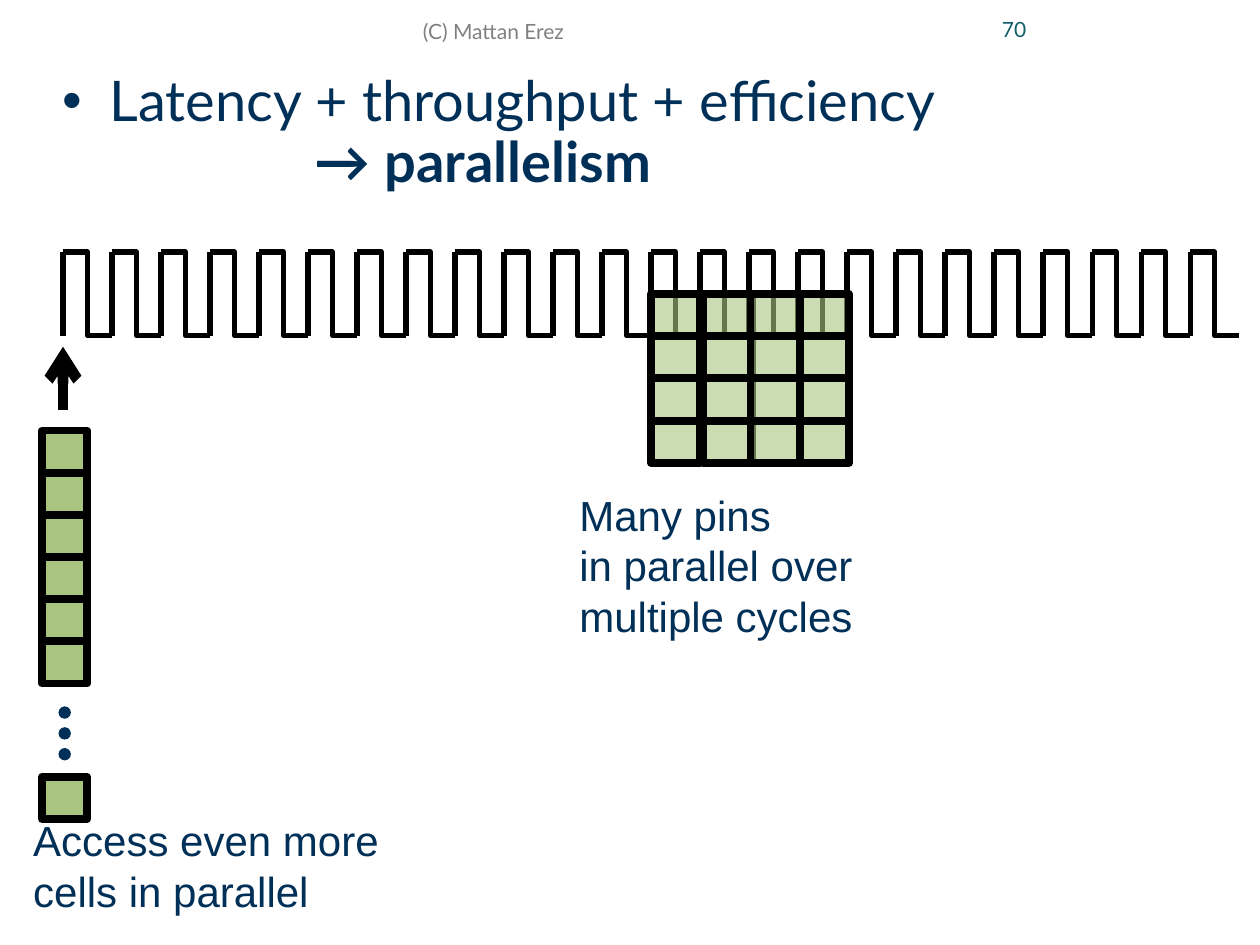
import pptx
import pptx.dml.color
import pptx.enum.shapes
import pptx.enum.text
import pptx.oxml
import pptx.oxml.ns
import pptx.util
from pptx.util import Cm

COLORS = {"navy": "003057", "green": "A9C47F", "black": "000000",
          "gray": "808080", "teal": "115E67"}
SHAPE = pptx.enum.shapes.MSO_SHAPE
CONNECTOR = pptx.enum.shapes.MSO_CONNECTOR
ALIGN = pptx.enum.text.PP_ALIGN
ANCHOR = pptx.enum.text.MSO_ANCHOR
AUTO_SIZE = pptx.enum.text.MSO_AUTO_SIZE

BODY = {"name": "Arial", "size": pptx.util.Pt(24)}
SMALL = {"name": "Lato", "size": pptx.util.Pt(12)}
HEADING = {"name": "Lato", "size": pptx.util.Pt(32)}

WAVE_LEFT, WAVE_TOP, WAVE_HEIGHT = 1.27, 5.08, 1.69
PULSE_GROUPS, PULSES_PER_GROUP = 4, 6
PULSE_WIDTH = 23.71 / (PULSE_GROUPS * PULSES_PER_GROUP)
CELL_HEIGHT = 0.85
STACK_LEFT, STACK_TOP, STACK_CELLS, STACK_WIDTH = 0.85, 8.68, 6, 0.91
LAST_CELL_TOP = 15.66
GRID_LEFTS, GRID_TOP, GRID_ROWS, GRID_WIDTH = (13.12, 14.18, 15.13, 16.13), 5.93, 4, 0.99


def rgb(name):
    return pptx.dml.color.RGBColor.from_string(COLORS[name])


def add_xml(parent, tag, **attributes):
    """Append a DrawingML element to parent."""
    element = pptx.oxml.parse_xml(f"<a:{tag} {pptx.oxml.ns.nsdecls('a')}/>")
    for key, value in attributes.items():
        element.set(key, value)
    parent.append(element)
    return element


def apply_format(target, values):
    for key, value in values.items():
        setattr(target, key, value)


def add_line(shapes, kind, start, end, width, arrow=False):
    line = shapes.add_connector(kind, *map(Cm, start + end))
    line.line.color.rgb = rgb("black")
    line.line.width = pptx.util.Pt(width)
    if arrow:
        add_xml(line.line._get_or_add_ln(), "tailEnd", type="arrow")
    add_xml(line._element.spPr, "effectLst")


def add_wave(page):
    bottom = WAVE_TOP + WAVE_HEIGHT
    for group_index in range(PULSE_GROUPS):
        group = page.shapes.add_group_shape()
        for pulse in range(PULSES_PER_GROUP):
            left = WAVE_LEFT + (group_index * PULSES_PER_GROUP + pulse) * PULSE_WIDTH
            top_left = (left, WAVE_TOP)
            add_line(group.shapes, CONNECTOR.ELBOW, top_left,
                     (left + PULSE_WIDTH, bottom), 3)
            add_line(group.shapes, CONNECTOR.STRAIGHT, top_left, (left, bottom), 3)


def add_solid(shapes, kind, place, color):
    shape = shapes.add_shape(kind, *map(Cm, place))
    shape.shadow.inherit = False
    shape.fill.solid()
    shape.fill.fore_color.rgb = rgb(color)
    shape.line.fill.background()
    return shape


def add_cell(page, left, top, width, alpha=None):
    """Add one memory cell; alpha is its opacity in percent."""
    cell = add_solid(page.shapes, SHAPE.RECTANGLE, (left, top, width, CELL_HEIGHT), "green")
    cell.line.color.rgb = rgb("black")
    cell.line.width = pptx.util.Pt(4.5)
    if alpha:
        color = cell._element.spPr.find(".//" + pptx.oxml.ns.qn("a:srgbClr"))
        add_xml(color, "alpha", val=str(alpha * 1000))


def add_stack(page):
    tops = [STACK_TOP + row * CELL_HEIGHT for row in range(STACK_CELLS)]
    for top in tops + [LAST_CELL_TOP]:
        add_cell(page, STACK_LEFT, top, STACK_WIDTH)
    dots = page.shapes.add_group_shape()
    for row in range(3):
        add_solid(dots.shapes, SHAPE.OVAL, (1.18, 14.24 + row * 0.42, 0.25, 0.25), "navy")


def add_grid(page):
    for left in GRID_LEFTS:
        for row in range(GRID_ROWS):
            add_cell(page, left, GRID_TOP + row * CELL_HEIGHT, GRID_WIDTH, alpha=60)


def add_text(page, place, text, font, color, frame=None, align=ALIGN.LEFT):
    box = page.shapes.add_textbox(*map(Cm, place))
    apply_format(box.text_frame, {"word_wrap": True, **(frame or {})})
    para = box.text_frame.paragraphs[0]
    para.text = text
    para.alignment = align
    for span in para.runs:
        apply_format(span.font, font)
        span.font.color.rgb = rgb(color)
    return para


def add_heading(page):
    margins = dict.fromkeys(
        ("margin_left", "margin_top", "margin_right", "margin_bottom"), 0)
    para = add_text(page, (1.27, 1.48, 23.71, 3.17),
                    "Latency + throughput + efficiency\v\t\t\t\t",
                    HEADING, "navy", margins)
    para.line_spacing = 0.9
    properties = para._p.get_or_add_pPr()
    for key, value in {"marL": Cm(0.94), "indent": -Cm(0.94), "defTabSz": Cm(1.27)}.items():
        properties.set(key, str(int(value)))
    bullet_color = add_xml(properties, "buClr")
    add_xml(bullet_color, "srgbClr", val=COLORS["navy"])
    add_xml(properties, "buFont", typeface="Arial")
    add_xml(properties, "buChar", char="•")
    span = para.add_run()
    span.text = "→ parallelism"
    apply_format(span.font, {**HEADING, "bold": True})
    span.font.color.rgb = rgb("navy")


def main():
    deck = pptx.Presentation()
    deck.slide_width, deck.slide_height = Cm(25.4), Cm(19.05)
    page = deck.slides.add_slide(deck.slide_layouts[6])

    add_heading(page)
    add_wave(page)
    add_line(page.shapes, CONNECTOR.STRAIGHT, (1.27, 8.26), (1.27, 6.99), 6, arrow=True)
    add_stack(page)
    add_grid(page)

    grow = {"auto_size": AUTO_SIZE.SHAPE_TO_FIT_TEXT}
    add_text(page, (0.42, 16.3, 8.26, 2.31), "Access even more cells in parallel",
             BODY, "navy", grow)
    add_text(page, (11.43, 9.74, 6.77, 3.33),
             "Many pins \vin parallel over\vmultiple cycles", BODY, "navy", grow)

    middle = {"vertical_anchor": ANCHOR.MIDDLE}
    add_text(page, (2.33, 0, 15.24, 1.27), "(C) Mattan Erez", SMALL, "gray",
             middle, ALIGN.CENTER)
    add_text(page, (18.63, -0.04, 2.31, 1.27), "70", SMALL, "teal", middle, ALIGN.RIGHT)

    deck.save("out.pptx")


if __name__ == "__main__":
    main()
